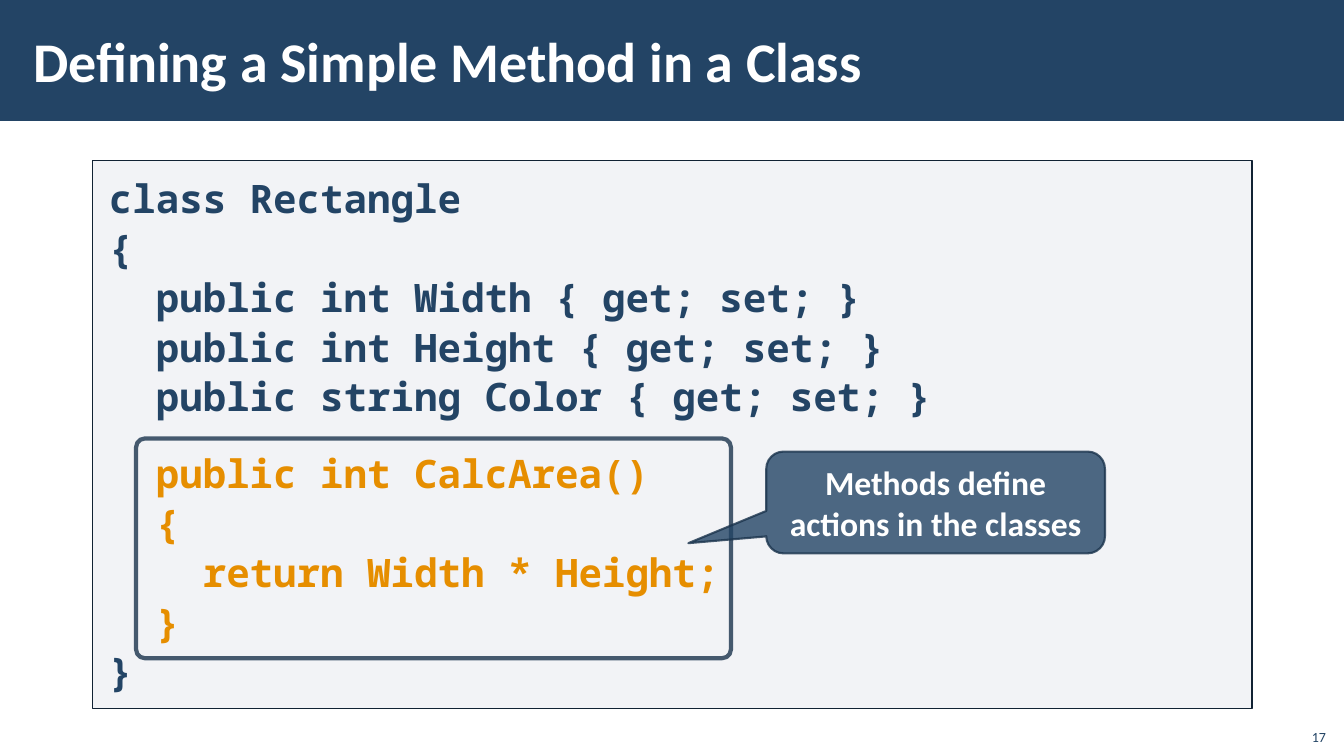
from dataclasses import dataclass
from typing import Optional

from lxml.etree import SubElement
from pptx import Presentation
from pptx.dml.color import RGBColor
from pptx.enum.shapes import MSO_SHAPE as Shape
from pptx.enum.text import MSO_ANCHOR as Anchor, PP_ALIGN as Align
from pptx.oxml.ns import qn
from pptx.util import Pt

PX = 9144
NAVY, DARK, ORANGE, WHITE = "234465", "1A334C", "E68E00", "FFFFFF"
SANS, MONO = "Calibri", "Noto Sans Mono"


@dataclass(frozen=True)
class Paint:
    color: str
    opacity: int = 100
    width: float = 0


@dataclass(frozen=True)
class Line:
    text: str
    color: str = NAVY
    before: int = 0


@dataclass(frozen=True)
class Text:
    lines: tuple[Line, ...]
    size: int
    font: str = SANS
    bold: bool = True
    align: Align = Align.LEFT
    anchor: Anchor = Anchor.MIDDLE
    inset: tuple[int, int] = (10, 5)
    spacing: float = 1.0


@dataclass(frozen=True)
class Box:
    at: tuple[int, int, int, int]
    kind: Shape = Shape.RECTANGLE
    fill: Optional[Paint] = None
    line: Optional[Paint] = None
    text: Optional[Text] = None
    adjust: tuple[float, ...] = ()


CODE = (
    Line("class Rectangle"),
    Line("{"),
    Line("  public int Width { get; set; }"),
    Line("  public int Height { get; set; }"),
    Line("  public string Color { get; set; }"),
    Line("  public int CalcArea()", ORANGE, before=20),
    Line("  {", ORANGE),
    Line("    return Width * Height;", ORANGE),
    Line("  }", ORANGE),
    Line("}"),
)

BOXES = (
    Box((0, 0, 1334, 120), fill=Paint(NAVY)),
    Box((21, 11, 1063, 97), text=Text(
        (Line("Defining a Simple Method in a Class", WHITE),), 40, inset=(12, 4))),
    Box((92, 159, 1150, 544), fill=Paint("ADB4C3", 15), line=Paint("112233", width=1),
        text=Text(CODE, 28, MONO, anchor=Anchor.TOP, inset=(16, 12), spacing=1.05)),
    Box((135, 435, 590, 218), Shape.ROUNDED_RECTANGLE, line=Paint(DARK, 80, 3),
        adjust=(0.04,)),
    Box((760, 448, 336, 101), Shape.ROUNDED_RECTANGULAR_CALLOUT,
        Paint(NAVY, 80), Paint(DARK, 80, 1.5),
        Text((Line("Methods define actions in the classes", WHITE),), 24,
             align=Align.CENTER),
        (-0.73, 0.4, 0.17)),
    Box((1285, 712, 40, 32), text=Text(
        (Line("17"),), 10, bold=False, align=Align.RIGHT, anchor=Anchor.BOTTOM)),
)


def rgb(color: str) -> RGBColor:
    return RGBColor.from_string(color)


def paint(target, holder, style: Paint) -> None:
    target.solid()
    target.fore_color.rgb = rgb(style.color)
    if style.opacity < 100:
        clr = next(holder().iter(qn("a:srgbClr")))
        SubElement(clr, qn("a:alpha"), val=str(style.opacity * 1000))


def write(tf, text: Text) -> None:
    tf.word_wrap = True
    tf.vertical_anchor = text.anchor
    tf.margin_left = tf.margin_right = text.inset[0] * PX
    tf.margin_top = tf.margin_bottom = text.inset[1] * PX
    for i, line in enumerate(text.lines):
        p = tf.add_paragraph() if i else tf.paragraphs[0]
        p.text = line.text
        p.alignment = text.align
        p.line_spacing = text.spacing
        if line.before:
            p.space_before = Pt(line.before)
        p.font.name = text.font
        p.font.size = Pt(text.size)
        p.font.bold = text.bold
        p.font.color.rgb = rgb(line.color)


def draw(shapes, box: Box) -> None:
    at = [v * PX for v in box.at]
    if box.fill or box.line:
        s = shapes.add_shape(box.kind, *at)
        s.shadow.inherit = False
        sp = s.element.spPr
        for i, value in enumerate(box.adjust):
            s.adjustments[i] = value
        if box.fill:
            paint(s.fill, lambda: sp.find(qn("a:solidFill")), box.fill)
        else:
            s.fill.background()
        if box.line:
            s.line.width = Pt(box.line.width)
            paint(s.line.fill, lambda: sp.find(qn("a:ln")), box.line)
        else:
            s.line.fill.background()
    else:
        s = shapes.add_textbox(*at)
    if box.text:
        write(s.text_frame, box.text)


def main() -> None:
    """Build the slide on a simple method in a class."""
    prs = Presentation()
    prs.slide_width, prs.slide_height = 1333 * PX, 750 * PX
    slide = prs.slides.add_slide(prs.slide_layouts[6])
    for box in BOXES:
        draw(slide.shapes, box)
    prs.save("out.pptx")


if __name__ == "__main__":
    main()
